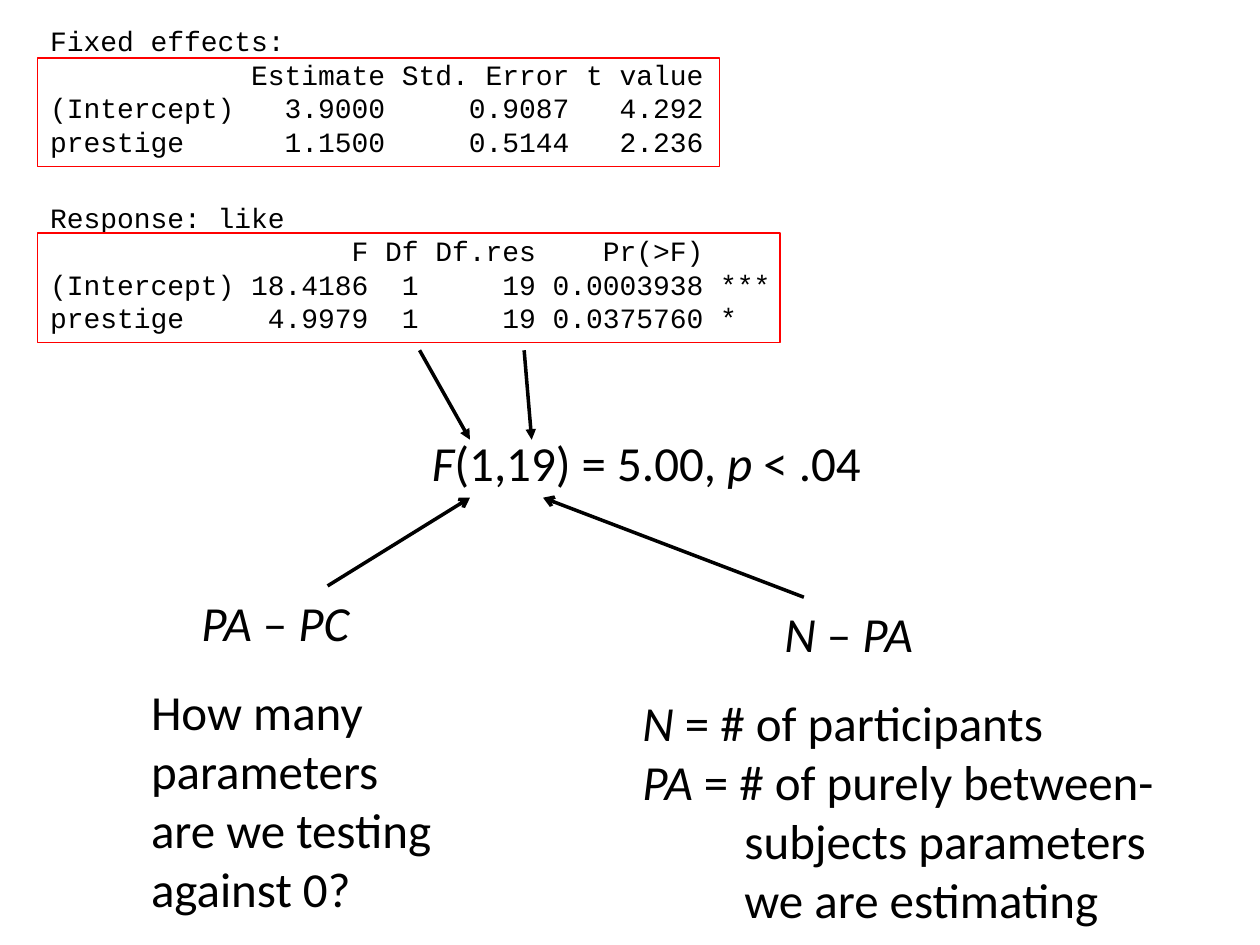
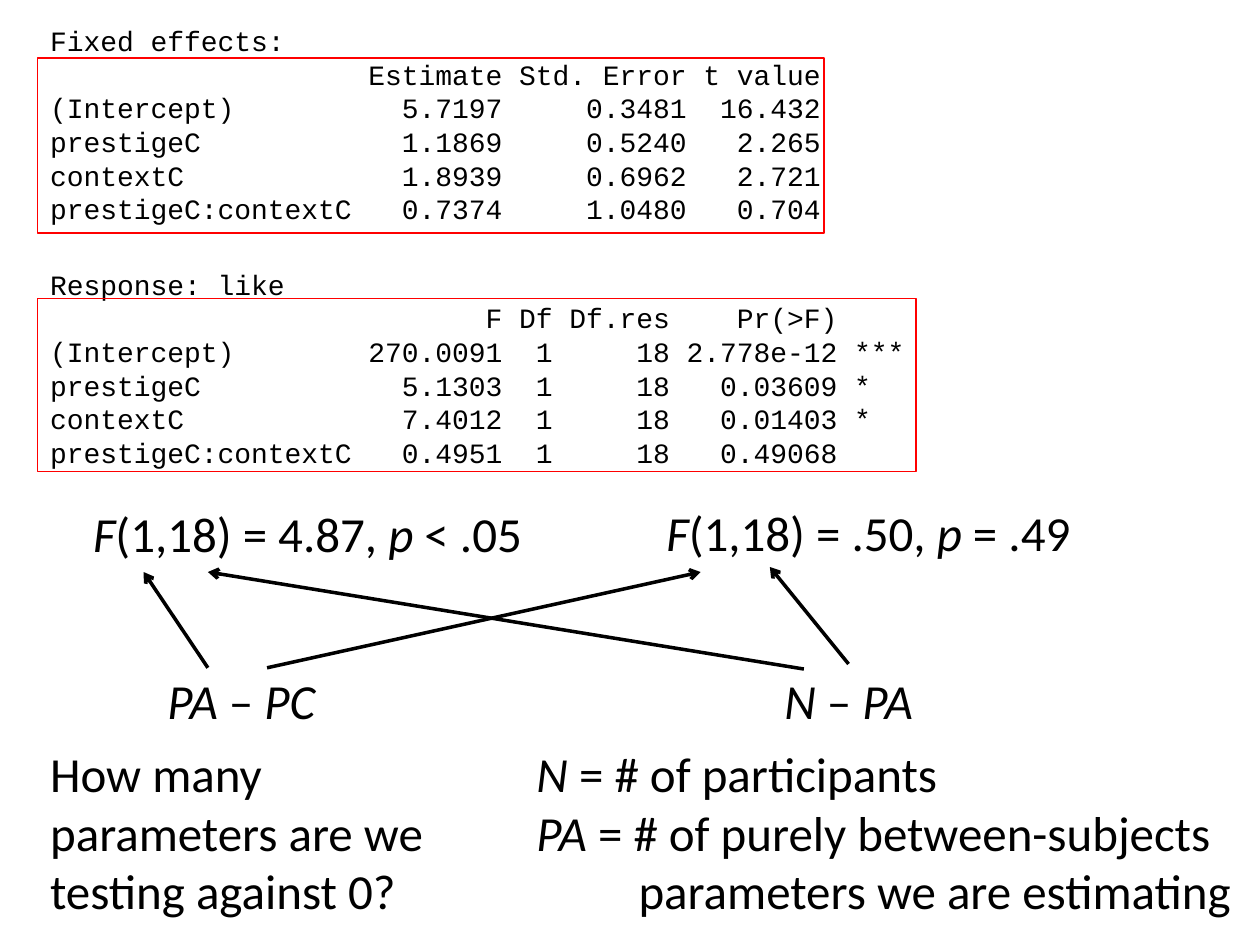
from lxml.etree import SubElement
from pptx import Presentation
from pptx.dml.color import RGBColor
from pptx.enum.shapes import MSO_CONNECTOR, MSO_SHAPE
from pptx.enum.text import MSO_AUTO_SIZE, PP_ALIGN
from pptx.oxml.ns import qn
from pptx.util import Inches, Pt

COLORS = {"text": "000000", "frame": "FF0000"}
CODE_FONT, BODY_FONT = "Courier New", "Calibri"
CODE_SIZE, BODY_SIZE = 16, 28
LEFT, TOP = 0.3, 0.14
LABEL_WIDTH, LINE_HEIGHT = 3.09, 0.57

# Formulas are lists of spans; a leading "*" marks an italic span.
NUMERATOR = ["*PA", " – ", "*PC"]
DENOMINATOR = ["*N", " – ", "*PA"]
QUESTION = ["How many parameters are we testing against 0?"]
DEFINITIONS = [
    ["*N", " = # of participants"],
    ["*PA", " = # of purely between-subjects parameters we are estimating"],
]

SLIDES = [
    {
        "effects": [
            "Fixed effects:",
            "            Estimate Std. Error t value",
            "(Intercept)   3.9000     0.9087   4.292",
            "prestige      1.1500     0.5144   2.236",
        ],
        "response": [
            "Response: like",
            "                  F Df Df.res    Pr(>F)",
            "(Intercept) 18.4186  1     19 0.0003938 ***",
            "prestige     4.9979  1     19 0.0375760 *",
        ],
        "output_height": 2.57,
        "frames": [(0.46, 5.41, 0.86), (1.85, 5.89, 0.87)],  # top, width, height
        "results": [
            ((3.33, 3.38, 4.44), ["*F", "(1,19) = 5.00, ", "*p", " < .04"]),
        ],
        "numerator": (0.64, 4.65),
        "denominator": (5.19, 4.74),
        "question": (1.1, 5.36, 2.48, 1.97),
        "definitions": (5, 5.45, 4.72, 1.97),
        "arrows": [
            ((2.6, 4.65), (3.73, 3.95), "arrow"),
            ((6.38, 4.74), (4.31, 3.95), "arrow"),
            ((3.33, 2.78), (3.73, 3.49), "triangle"),
            ((4.16, 2.78), (4.22, 3.49), "triangle"),
        ],
    },
    {
        "effects": [
            "Fixed effects:",
            "                   Estimate Std. Error t value",
            "(Intercept)          5.7197     0.3481  16.432",
            "prestigeC            1.1869     0.5240   2.265",
            "contextC             1.8939     0.6962   2.721",
            "prestigeC:contextC   0.7374     1.0480   0.704",
        ],
        "response": [
            "Response: like",
            "                          F Df Df.res    Pr(>F)",
            "(Intercept)        270.0091  1     18 2.778e-12 ***",
            "prestigeC            5.1303  1     18   0.03609 *",
            "contextC             7.4012  1     18   0.01403 *",
            "prestigeC:contextC   0.4951  1     18   0.49068",
        ],
        "output_height": 3.64,
        "frames": [(0.46, 6.24, 1.39), (2.37, 6.97, 1.37)],
        "results": [
            ((0.64, 3.95, 3.94), ["*F", "(1,18) = 4.87, ", "*p", " < .05"]),
            ((5.19, 3.94, 3.94), ["*F", "(1,18) = .50, ", "*p", " = .49"]),
        ],
        "numerator": (0.37, 5.27),
        "denominator": (5.19, 5.27),
        "question": (0.3, 5.85, 3.27, 1.5),
        "definitions": (4.16, 5.85, 5.84, 1.5),
        "arrows": [
            ((1.65, 5.3), (1.14, 4.54), "arrow"),
            ((6.38, 5.31), (1.65, 4.54), "arrow"),
            ((2.12, 5.3), (5.56, 4.54), "arrow"),
            ("denominator", (6.11, 4.5), "arrow"),
        ],
    },
]


def color(name):
    return RGBColor.from_string(COLORS[name])


def add_text(page, place, lines, font=BODY_FONT, size=BODY_SIZE, align=PP_ALIGN.LEFT, hanging=0):
    """Write one paragraph for each list of spans."""
    box = page.shapes.add_textbox(*map(Inches, place))
    frame = box.text_frame
    frame.word_wrap = True
    frame.auto_size = MSO_AUTO_SIZE.SHAPE_TO_FIT_TEXT
    for number, spans in enumerate(lines):
        para = frame.add_paragraph() if number else frame.paragraphs[0]
        para.alignment = align
        if hanging:
            properties = para._p.get_or_add_pPr()
            properties.set("marL", str(Inches(hanging)))
            properties.set("indent", str(-Inches(hanging)))
        para.font.name = font
        para.font.size = Pt(size)
        para.font.color.rgb = color("text")
        for text in spans:
            span = para.add_run()
            italic = text.startswith("*")
            span.text = text[1:] if italic else text
            if italic:
                span.font.italic = True
    return box


def add_output(page, content):
    """Show the console output with a red frame around each result block."""
    effects, response = content["effects"], content["response"]
    box = add_text(page, (LEFT, TOP, 10 - LEFT, content["output_height"]),
                   [[line] for line in effects + response], CODE_FONT, CODE_SIZE)
    box.text_frame.paragraphs[len(effects)].space_before = Pt(24)
    for top, width, height in content["frames"]:
        frame = page.shapes.add_shape(MSO_SHAPE.RECTANGLE, *map(Inches, (LEFT, top, width, height)))
        frame.shadow.inherit = False
        frame.fill.background()
        frame.line.color.rgb = color("frame")
        frame.line.width = Pt(0.75)


def add_label(page, place, spans):
    return add_text(page, (*place, LABEL_WIDTH, LINE_HEIGHT), [spans], align=PP_ALIGN.CENTER)


def add_arrow(page, start, end, head, source=None):
    """Draw an arrow, joined to the top of the source box if there is one."""
    arrow = page.shapes.add_connector(MSO_CONNECTOR.STRAIGHT, *map(Inches, (*start, *end)))
    if source is not None:
        arrow.begin_connect(source, 0)
    arrow.line.color.rgb = color("text")
    arrow.line.width = Pt(2)
    SubElement(arrow.line._get_or_add_ln(), qn("a:tailEnd"), type=head)
    SubElement(arrow._element.spPr, qn("a:effectLst"))


def build_page(deck, content):
    page = deck.slides.add_slide(deck.slide_layouts[6])
    add_output(page, content)
    for place, spans in content["results"]:
        add_text(page, (*place, LINE_HEIGHT), [spans], hanging=0.38)
    add_label(page, content["numerator"], NUMERATOR)
    denominator = add_label(page, content["denominator"], DENOMINATOR)
    add_text(page, content["question"], [QUESTION])
    add_text(page, content["definitions"], DEFINITIONS, hanging=0.81)
    for start, end, head in content["arrows"]:
        if start == "denominator":
            add_arrow(page, content["denominator"], end, head, denominator)
        else:
            add_arrow(page, start, end, head)


def main():
    deck = Presentation()
    deck.slide_width, deck.slide_height = Inches(10), Inches(7.5)
    for content in SLIDES:
        build_page(deck, content)
    deck.save("out.pptx")


if __name__ == "__main__":
    main()
